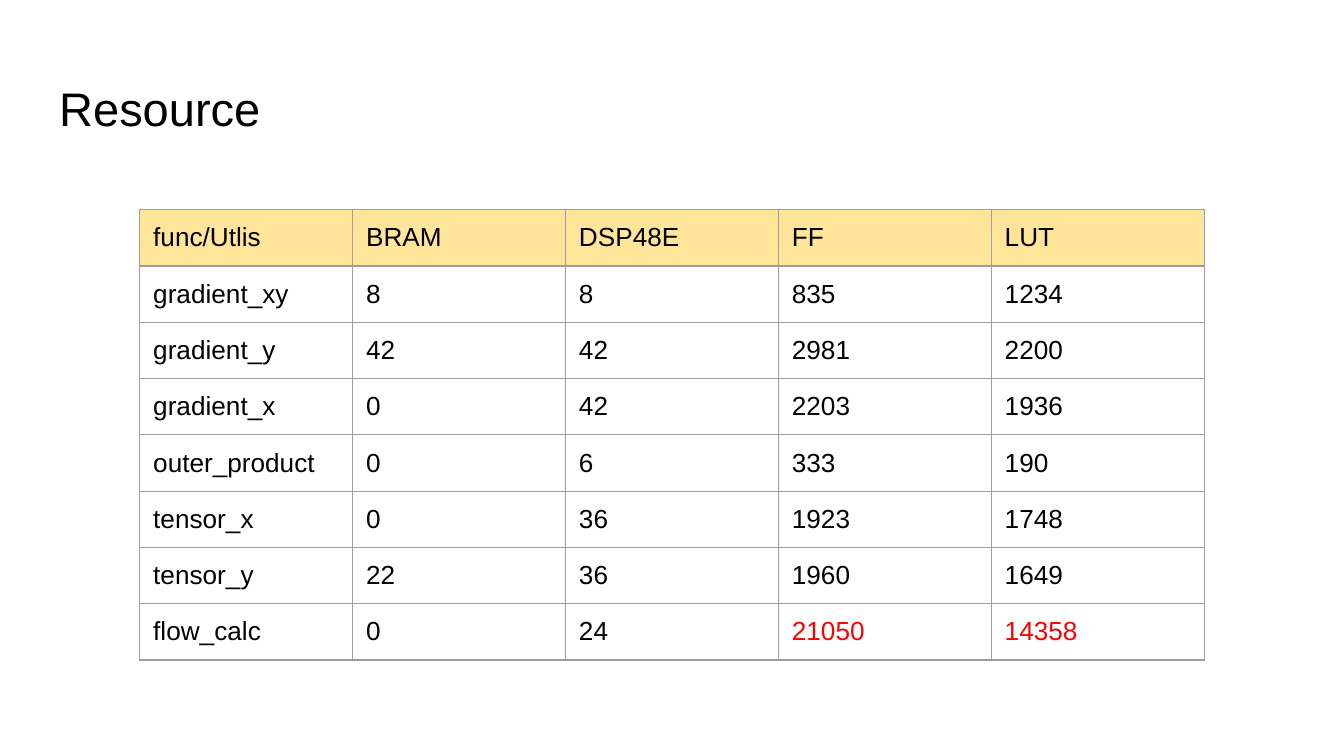
"""Build the resource utilisation slide with its table."""
import pptx
import pptx.dml.color
import pptx.enum.text
import pptx.oxml
import pptx.oxml.ns
import pptx.util
from pptx.util import Inches


def color(hex_value):
    return pptx.dml.color.RGBColor.from_string(hex_value)


def write(tf, text, size=14, fill="000000", font="Arial", align=pptx.enum.text.PP_ALIGN.LEFT):
    tf.word_wrap = True
    p = tf.paragraphs[0]
    p.alignment = align
    r = p.add_run()
    r.text = text
    r.font.size = pptx.util.Pt(size)
    r.font.name = font
    r.font.color.rgb = color(fill)


prs = pptx.Presentation()
prs.slide_width = Inches(10)
prs.slide_height = Inches(10 * 9 / 16)
s = prs.slides.add_slide(prs.slide_layouts[5])

title = s.shapes.title
title.left, title.top = Inches(0.34), Inches(0.49)
title.width, title.height = Inches(9.32), Inches(0.63)
tf = title.text_frame
tf.margin_left = tf.margin_right = tf.margin_top = tf.margin_bottom = Inches(0.1)
tf.vertical_anchor = pptx.enum.text.MSO_ANCHOR.MIDDLE
tf.auto_size = pptx.enum.text.MSO_AUTO_SIZE.NONE
write(tf, "Resource", size=25.2)

rows = [
    ("func/Utlis", "BRAM", "DSP48E", "FF", "LUT"),
    ("gradient_xy", "8", "8", "835", "1234"),
    ("gradient_y", "42", "42", "2981", "2200"),
    ("gradient_x", "0", "42", "2203", "1936"),
    ("outer_product", "0", "6", "333", "190"),
    ("tensor_x", "0", "36", "1923", "1748"),
    ("tensor_y", "22", "36", "1960", "1649"),
    ("flow_calc", "0", "24", "21050", "14358"),
]
highlighted = {"21050", "14358"}
border_xml = (
    '<a:{side} {ns} w="9525"><a:solidFill><a:srgbClr val="9E9E9E"/></a:solidFill></a:{side}>'
)

table = s.shapes.add_table(
    len(rows), len(rows[0]), Inches(1.04), Inches(1.56), Inches(7.92), Inches(3.35)
).table
table.first_row = False
table.horz_banding = False

for i, values in enumerate(rows):
    for j, value in enumerate(values):
        cell = table.cell(i, j)
        cell.margin_left = cell.margin_right = Inches(0.1)
        cell.margin_top = cell.margin_bottom = Inches(0.1)
        tcPr = cell._tc.get_or_add_tcPr()
        for side in ("lnL", "lnR", "lnT", "lnB"):
            xml = border_xml.format(side=side, ns=pptx.oxml.ns.nsdecls("a"))
            tcPr.append(pptx.oxml.parse_xml(xml))
        if i == 0:
            cell.fill.solid()
            cell.fill.fore_color.rgb = color("FFE599")
        else:
            cell.fill.background()
        write(cell.text_frame, value, fill="FF0000" if value in highlighted else "000000")

prs.save("out.pptx")
